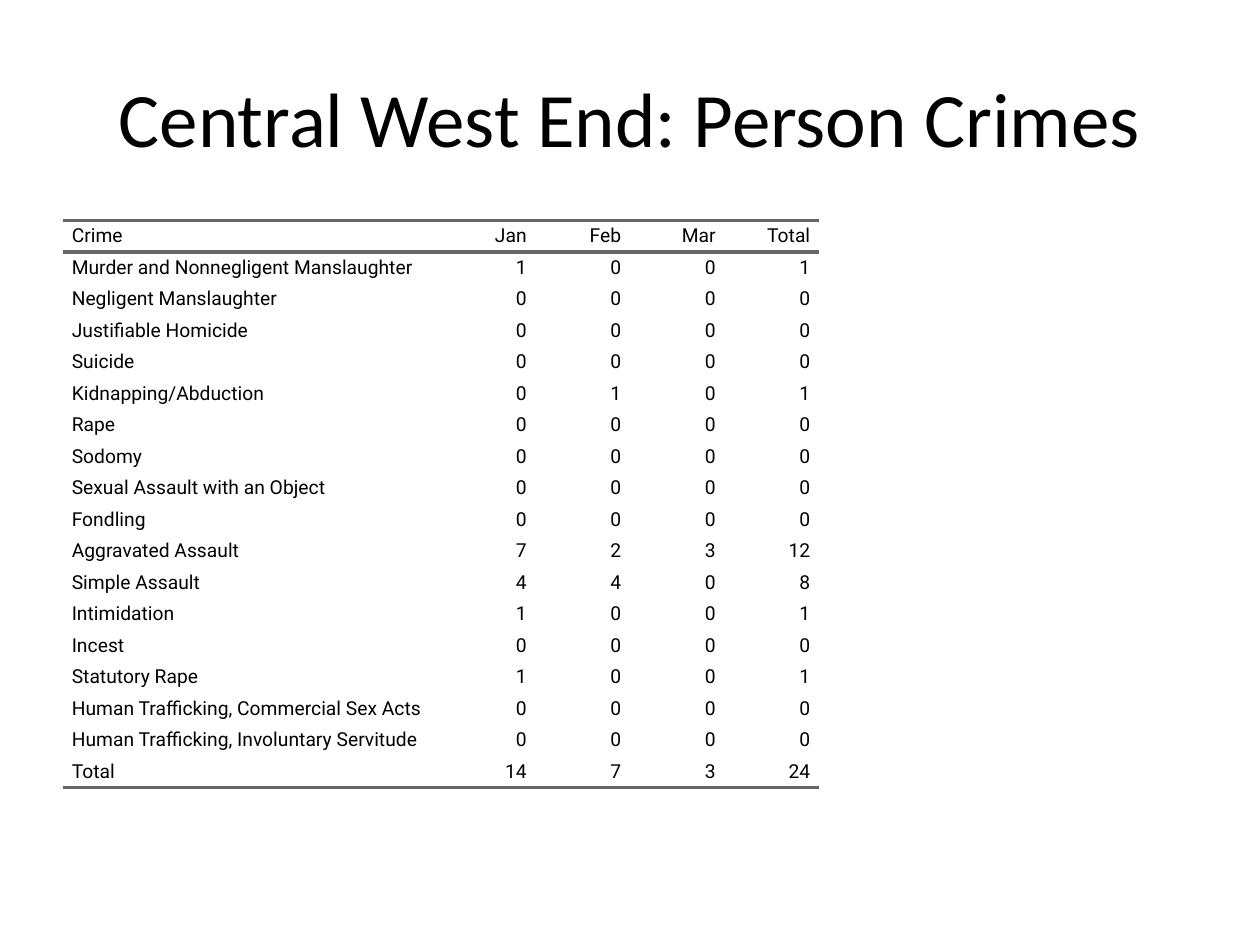
from lxml import etree
from pptx import Presentation
from pptx.dml.color import RGBColor
from pptx.enum.text import MSO_ANCHOR, PP_ALIGN
from pptx.oxml.ns import qn
from pptx.util import Inches, Pt

LEFT, CENTER, RIGHT = PP_ALIGN.LEFT, PP_ALIGN.CENTER, PP_ALIGN.RIGHT
MIDDLE = MSO_ANCHOR.MIDDLE
PLAIN_TABLE_STYLE = "{2D5ABB26-0587-4C30-8999-92F81FD0307C}"

MONTHS = ["Jan", "Feb", "Mar"]
CRIMES = [
    ("Murder and Nonnegligent Manslaughter", 1, 0, 0),
    ("Negligent Manslaughter", 0, 0, 0),
    ("Justifiable Homicide", 0, 0, 0),
    ("Suicide", 0, 0, 0),
    ("Kidnapping/Abduction", 0, 1, 0),
    ("Rape", 0, 0, 0),
    ("Sodomy", 0, 0, 0),
    ("Sexual Assault with an Object", 0, 0, 0),
    ("Fondling", 0, 0, 0),
    ("Aggravated Assault", 7, 2, 3),
    ("Simple Assault", 4, 4, 0),
    ("Intimidation", 1, 0, 0),
    ("Incest", 0, 0, 0),
    ("Statutory Rape", 1, 0, 0),
    ("Human Trafficking, Commercial Sex Acts", 0, 0, 0),
    ("Human Trafficking, Involuntary Servitude", 0, 0, 0),
]


def color(hex_code):
    return RGBColor.from_string(hex_code)


def with_totals(crimes):
    """Return all table rows, with a total for each crime and each month."""
    month_sums = [sum(counts) for counts in zip(*(crime[1:] for crime in crimes))]
    counted = [*crimes, ("Total", *month_sums)]
    return [("Crime", *MONTHS, "Total")] + [(*row, sum(row[1:])) for row in counted]


class SlideBuilder:
    title_font, table_font = "Calibri", "Roboto"
    title_size, table_size = 44, 11
    text_color, rule_color = "000000", "666666"
    rule_width = 2
    cell_margin = 0.07

    def __init__(self, page):
        self.page = page

    def add_text(self, frame, text, font, size, alignment):
        para = frame.paragraphs[0]
        para.alignment = alignment
        span = para.add_run()
        span.text = text
        span.font.name = font
        span.font.size = Pt(size)
        span.font.color.rgb = color(self.text_color)

    def title(self, text, left, top, width, height):
        box = self.page.shapes.add_textbox(
            Inches(left), Inches(top), Inches(width), Inches(height))
        frame = box.text_frame
        frame.word_wrap = True
        frame.vertical_anchor = MIDDLE
        self.add_text(frame, text, self.title_font, self.title_size, CENTER)

    def rule(self, cell, side):
        """Draw a border on one side of a cell: lnT or lnB."""
        line = etree.SubElement(cell._tc.get_or_add_tcPr(), qn(f"a:{side}"),
                                w=str(Pt(self.rule_width)))
        fill = etree.SubElement(line, qn("a:solidFill"))
        etree.SubElement(fill, qn("a:srgbClr"), val=self.rule_color)

    def cell(self, cell, text, alignment, sides):
        cell.margin_left = cell.margin_right = Inches(self.cell_margin)
        cell.margin_top = cell.margin_bottom = 0
        cell.vertical_anchor = MIDDLE
        for side in sides:
            self.rule(cell, side)
        cell.fill.background()
        self.add_text(cell.text_frame, text, self.table_font, self.table_size, alignment)

    def table(self, rows, left, top, column_widths, row_height):
        frame = self.page.shapes.add_table(
            len(rows), len(column_widths), Inches(left), Inches(top),
            Inches(sum(column_widths)), Inches(row_height * len(rows)))
        table = frame.table
        table.first_row = table.horz_banding = False
        table._tbl.tblPr.find(qn("a:tableStyleId")).text = PLAIN_TABLE_STYLE
        for column, width in zip(table.columns, column_widths):
            column.width = Inches(width)
        ruled_sides = {0: ["lnT", "lnB"], len(rows) - 1: ["lnB"]}
        for row_index, values in enumerate(rows):
            table.rows[row_index].height = Inches(row_height)
            for column_index, value in enumerate(values):
                self.cell(table.cell(row_index, column_index), str(value),
                          RIGHT if column_index else LEFT,
                          ruled_sides.get(row_index, []))


def main():
    deck = Presentation()
    deck.slide_width, deck.slide_height = Inches(10), Inches(7.5)
    builder = SlideBuilder(deck.slides.add_slide(deck.slide_layouts[6]))
    builder.table(with_totals(CRIMES), 0.5, 1.75, [3] + [0.75] * 4, 0.25)
    builder.title("Central West End: Person Crimes", 0.5, 0.3, 9, 1.25)
    deck.save("out.pptx")


if __name__ == "__main__":
    main()
